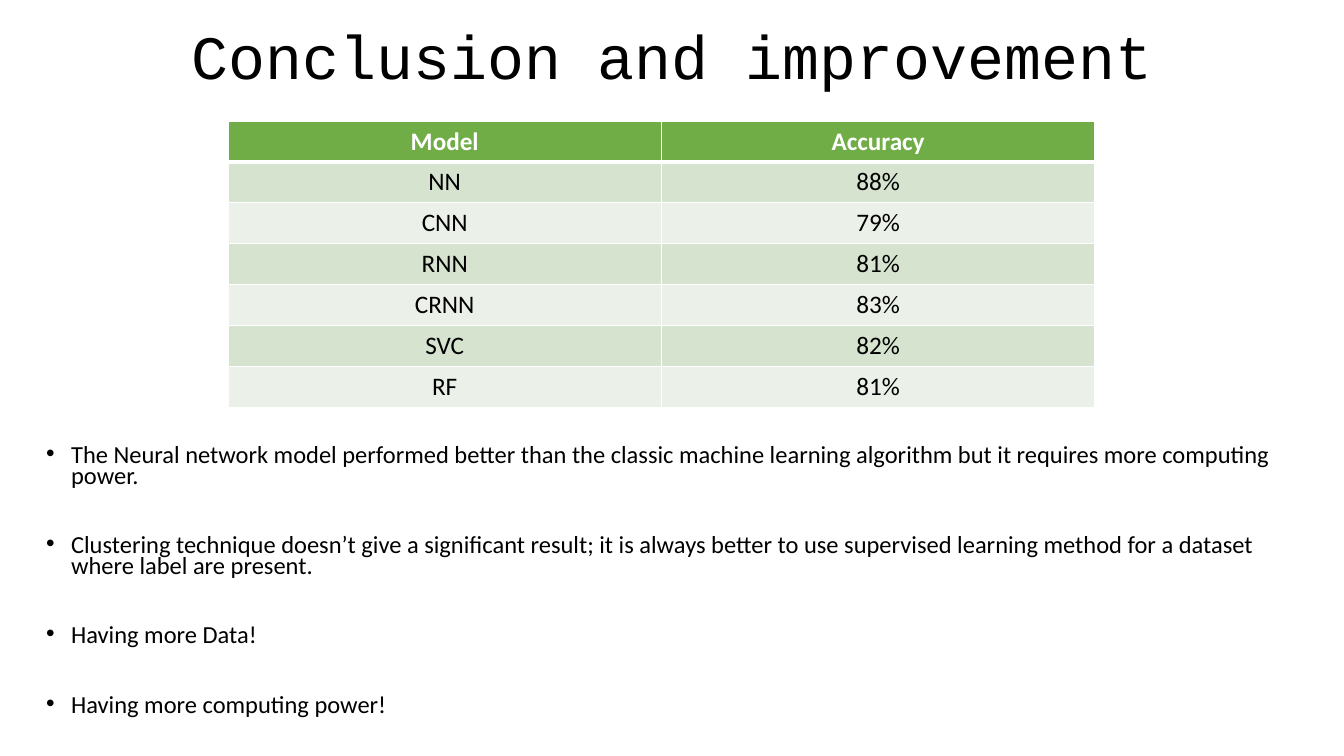
import lxml.etree
import pptx
import pptx.dml.color
import pptx.enum.text
import pptx.oxml.ns
import pptx.util

PX = 914400 / 100.8  # EMU in one px
SLIDE_SIZE = (1344, 756)

TITLE = "Conclusion and improvement"
ACCURACY = [
    ("Model", "Accuracy"),
    ("NN", "88%"),
    ("CNN", "79%"),
    ("RNN", "81%"),
    ("CRNN", "83%"),
    ("SVC", "82%"),
    ("RF", "81%"),
]
CONCLUSIONS = [
    "The Neural network model performed better than the classic machine learning "
    "algorithm but it requires more computing power.",
    "Clustering technique doesn’t give a significant result; it is always better to use "
    "supervised learning method for a dataset where label are present.",
    "Having more Data!",
    "Having more computing power!",
]
HEADER_FILL, BAND_FILLS = "70AD47", ("EBF1E9", "D5E3CF")
WHITE, BLACK = "FFFFFF", "000000"


def px(length):
    return pptx.util.Emu(round(length * PX))


def colour(value):
    return pptx.dml.color.RGBColor.from_string(value)


def apply_format(target, values):
    for name, value in values.items():
        setattr(target, name, value)


def set_font(paragraph, size, name, hex_colour, bold=False):
    apply_format(paragraph.font, {"size": pptx.util.Pt(size), "name": name, "bold": bold})
    paragraph.font.color.rgb = colour(hex_colour)


def add_element(parent, tag, **attributes):
    element = lxml.etree.SubElement(parent, pptx.oxml.ns.qn(tag))
    for name, value in attributes.items():
        element.set(name, str(value))
    return element


def place(shape, box):
    apply_format(shape, dict(zip(("left", "top", "width", "height"), map(px, box))))


def set_borders(cell, widths):
    properties = cell._tc.get_or_add_tcPr()
    for side, points in zip("LRTB", widths):
        line = add_element(properties, f"a:ln{side}", w=pptx.util.Pt(points))
        add_element(add_element(line, "a:solidFill"), "a:srgbClr", val=WHITE)


# Title
def fill_title(shape, box):
    place(shape, box)
    frame = shape.text_frame
    frame.text = TITLE
    apply_format(frame, {
        "vertical_anchor": pptx.enum.text.MSO_ANCHOR.MIDDLE,
        "auto_size": pptx.enum.text.MSO_AUTO_SIZE.NONE,
    })
    paragraph = frame.paragraphs[0]
    apply_format(paragraph, {"alignment": pptx.enum.text.PP_ALIGN.CENTER, "line_spacing": 0.9})
    set_font(paragraph, 44, "Courier New", BLACK)


# Accuracy of each model
def add_accuracy_table(slide, box):
    row_count, column_count = len(ACCURACY), len(ACCURACY[0])
    table = slide.shapes.add_table(row_count, column_count, *map(px, box)).table
    for row, values in enumerate(ACCURACY):
        is_header = row == 0
        widths = (1, 1, 3 if row == 1 else 1, 3 if is_header else 1)
        for column, value in enumerate(values):
            cell = table.cell(row, column)
            cell.text = value
            set_borders(cell, widths)
            cell.fill.solid()
            cell.fill.fore_color.rgb = colour(HEADER_FILL if is_header else BAND_FILLS[row % 2])
            paragraph = cell.text_frame.paragraphs[0]
            paragraph.alignment = pptx.enum.text.PP_ALIGN.CENTER
            set_font(paragraph, 18, "Calibri", WHITE if is_header else BLACK, is_header)


# Bulleted conclusions
def fill_conclusions(shape, box):
    place(shape, box)
    frame = shape.text_frame
    frame.text = "\n".join(CONCLUSIONS)
    apply_format(frame, {
        "vertical_anchor": pptx.enum.text.MSO_ANCHOR.TOP,
        "auto_size": pptx.enum.text.MSO_AUTO_SIZE.NONE,
    })
    for number, paragraph in enumerate(frame.paragraphs):
        properties = paragraph._p.get_or_add_pPr()
        apply_format(paragraph, {
            "alignment": pptx.enum.text.PP_ALIGN.LEFT,
            "line_spacing": 0.7,
            "space_before": pptx.util.Pt(35 if number else 0),
        })
        properties.set("marL", str(px(25)))
        properties.set("indent", str(px(-25)))
        add_element(properties, "a:buFont", typeface="Arial")
        add_element(properties, "a:buChar", char="•")
        set_font(paragraph, 17.5, "Calibri", BLACK)


def main():
    presentation = pptx.Presentation()
    apply_format(presentation, dict(zip(("slide_width", "slide_height"), map(px, SLIDE_SIZE))))
    slide = presentation.slides.add_slide(presentation.slide_layouts[1])
    fill_title(slide.shapes.title, (93, -13, 1159, 146))
    fill_conclusions(slide.placeholders[1], (36, 442, 1248, 288))
    add_accuracy_table(slide, (228, 121, 867, 282))
    presentation.save("out.pptx")


if __name__ == "__main__":
    main()
